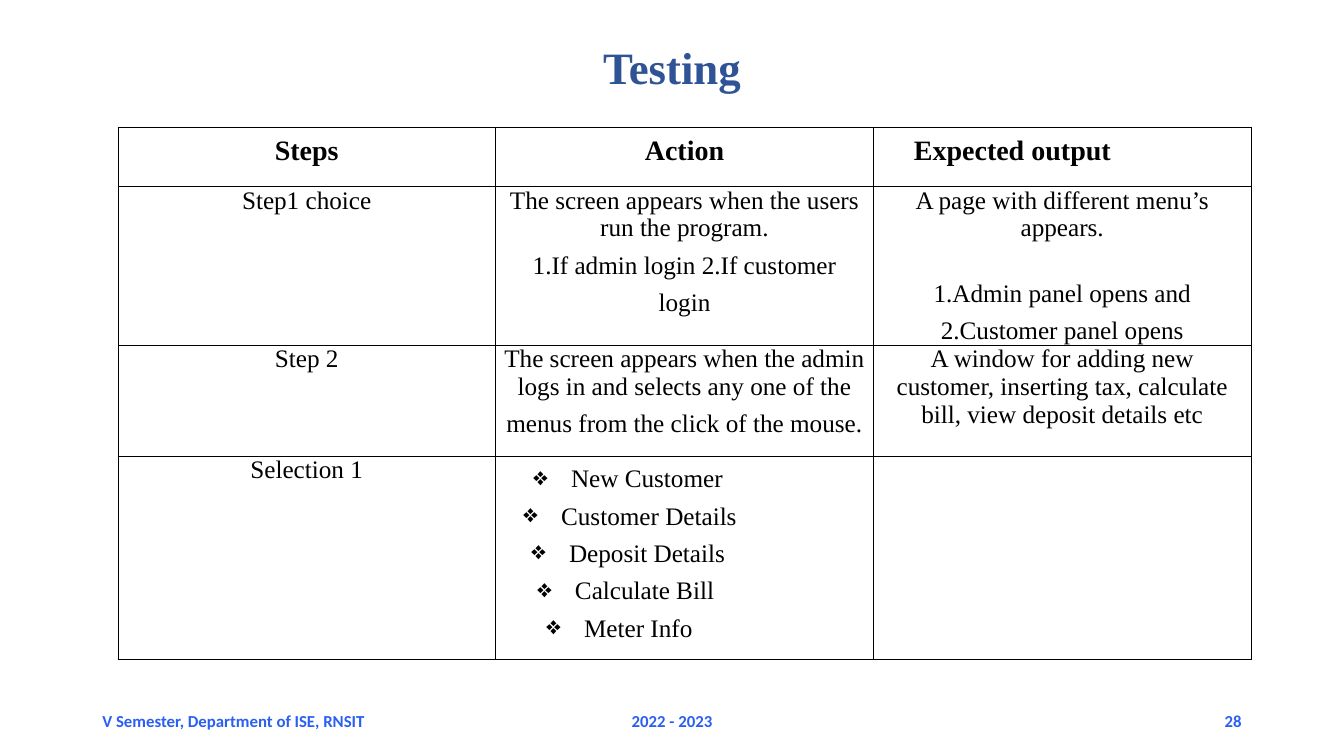
"""Build the Testing slide: a table of steps, actions and expected output."""
from lxml.etree import SubElement
from pptx import Presentation
from pptx.dml.color import RGBColor
from pptx.enum.text import MSO_ANCHOR as Anchor, MSO_AUTO_SIZE as AutoSize, PP_ALIGN as Align
from pptx.oxml.ns import qn
from pptx.util import Cm, Pt

COLORS = {"title": "2F5496", "footer": "2B5FF3", "ink": "000000"}
SERIF, SANS = "Times New Roman", "Calibri"
TITLE = "Testing"
HEADINGS = ["Steps", "Action", "Expected output"]
NORMAL, LOOSE, HEADING_SPACING = 1.0, 1.34, 1.27
NARROW, MEDIUM, WIDE = 0.13, 0.38, 0.86
BULLET, HANGING = "❖", 0.95

# Each paragraph: text, line spacing, side indent in cm, space before in pt
STEPS = [
    ([("Step1 choice", NORMAL, NARROW, 0)],
     [("The screen appears when the users run the program.", NORMAL, NARROW, 0),
      ("1.If admin login 2.If customer login", LOOSE, WIDE, 0)],
     [("A page with different menu’s appears.", NORMAL, NARROW, 0),
      ("1.Admin panel opens and 2.Customer panel opens", LOOSE, NARROW, 20)]),
    ([("Step 2", NORMAL, NARROW, 0)],
     [("The screen appears when the admin logs in and selects any one of the",
       NORMAL, NARROW, 0),
      ("menus from the click of the mouse.", LOOSE, NARROW, 0)],
     [("A window for adding new customer, inserting tax, calculate bill, "
       "view deposit details etc", NORMAL, MEDIUM, 0)]),
    ([("Selection 1", NORMAL, NARROW, 0)], [], []),
]
MENU = [("New Customer", 1.9), ("Customer Details", 1.65), ("Deposit Details", 1.85),
        ("Calculate Bill", 2.0), ("Meter Info", 2.23)]
FOOTERS = [("V Semester, Department of ISE, RNSIT", 2.33, 8.89, Align.LEFT),
           ("2022 - 2023", 11.22, 11.43, Align.CENTER),
           ("28", 23.92, 7.62, Align.RIGHT)]
TABLE_LEFT, TABLE_TOP, COLUMN_WIDTH = 2.97, 3.2, 9.52
ROW_HEIGHTS = [1.5, 3.61, 2.79, 5.13]


def style(paragraph, size, color, face=SERIF, bold=False):
    font = paragraph.font
    font.name, font.size, font.bold = face, Pt(size), bold
    font.color.rgb = RGBColor.from_string(COLORS[color])


def indent(paragraph, left, right=0, first=0):
    properties = paragraph._p.get_or_add_pPr()
    for side, length in (("marL", left), ("marR", right), ("indent", first)):
        properties.set(side, str(Cm(length)))
    return properties


def add_bullet(properties):
    bullet_color = SubElement(properties, qn("a:buClr"))
    SubElement(bullet_color, qn("a:srgbClr"), val=COLORS["ink"])
    SubElement(properties, qn("a:buChar"), char=BULLET)


def next_paragraph(frame, position):
    return frame.add_paragraph() if position else frame.paragraphs[0]


def prepare_cell(cell):
    cell.margin_left = cell.margin_right = cell.margin_top = cell.margin_bottom = 0
    properties = cell._tc.get_or_add_tcPr()
    for side in ("lnL", "lnR", "lnT", "lnB"):
        border = SubElement(properties, qn(f"a:{side}"), w=str(Pt(0.5)))
        fill = SubElement(border, qn("a:solidFill"))
        SubElement(fill, qn("a:srgbClr"), val=COLORS["ink"])
    cell.fill.background()


def add_title(slide):
    title = slide.shapes.title
    title.left, title.top, title.width, title.height = Cm(2.33), Cm(1.02), Cm(29.21), Cm(1.93)
    frame = title.text_frame
    frame.text = TITLE
    frame.auto_size, frame.vertical_anchor = AutoSize.NONE, Anchor.TOP
    heading = frame.paragraphs[0]
    heading.alignment, heading.line_spacing = Align.CENTER, 0.9
    style(heading, 32, "title", bold=True)


def add_steps_table(slide):
    table = slide.shapes.add_table(
        len(ROW_HEIGHTS), len(HEADINGS), Cm(TABLE_LEFT), Cm(TABLE_TOP),
        Cm(COLUMN_WIDTH * len(HEADINGS)), Cm(sum(ROW_HEIGHTS))).table
    table.first_row = table.horz_banding = False
    for row, height in zip(table.rows, ROW_HEIGHTS):
        row.height = Cm(height)
    for cell in table.iter_cells():
        prepare_cell(cell)

    for column, text in enumerate(HEADINGS):
        heading = table.cell(0, column).text_frame.paragraphs[0]
        heading.text, heading.line_spacing = text, HEADING_SPACING
        is_last = column == len(HEADINGS) - 1
        heading.alignment = Align.LEFT if is_last else Align.CENTER
        indent(heading, 1.02 if is_last else 0)
        style(heading, 20, "ink", bold=True)

    for row, step in enumerate(STEPS, start=1):
        for column, entries in enumerate(step):
            frame = table.cell(row, column).text_frame
            for position, (text, spacing, inset, before) in enumerate(entries):
                entry = next_paragraph(frame, position)
                entry.text, entry.line_spacing = text, spacing
                entry.alignment = Align.CENTER
                if before:
                    entry.space_before = Pt(before)
                indent(entry, inset, inset)
                style(entry, 18, "ink")

    menu_frame = table.cell(len(STEPS), 1).text_frame
    for position, (text, left) in enumerate(MENU):
        choice = next_paragraph(menu_frame, position)
        choice.text, choice.line_spacing = text, LOOSE
        add_bullet(indent(choice, left, first=-HANGING))
        style(choice, 18, "ink")


def add_footers(slide):
    for text, left, width, alignment in FOOTERS:
        frame = slide.shapes.add_textbox(Cm(left), Cm(17.65), Cm(width), Cm(1.02)).text_frame
        frame.word_wrap, frame.vertical_anchor = True, Anchor.MIDDLE
        footer = frame.paragraphs[0]
        footer.text, footer.alignment = text, alignment
        style(footer, 12, "footer", SANS, bold=True)


def main():
    deck = Presentation()
    deck.slide_width, deck.slide_height = Cm(33.87), Cm(19.05)
    slide = deck.slides.add_slide(deck.slide_layouts[5])
    add_title(slide)
    add_steps_table(slide)
    add_footers(slide)
    deck.save("out.pptx")


if __name__ == "__main__":
    main()
